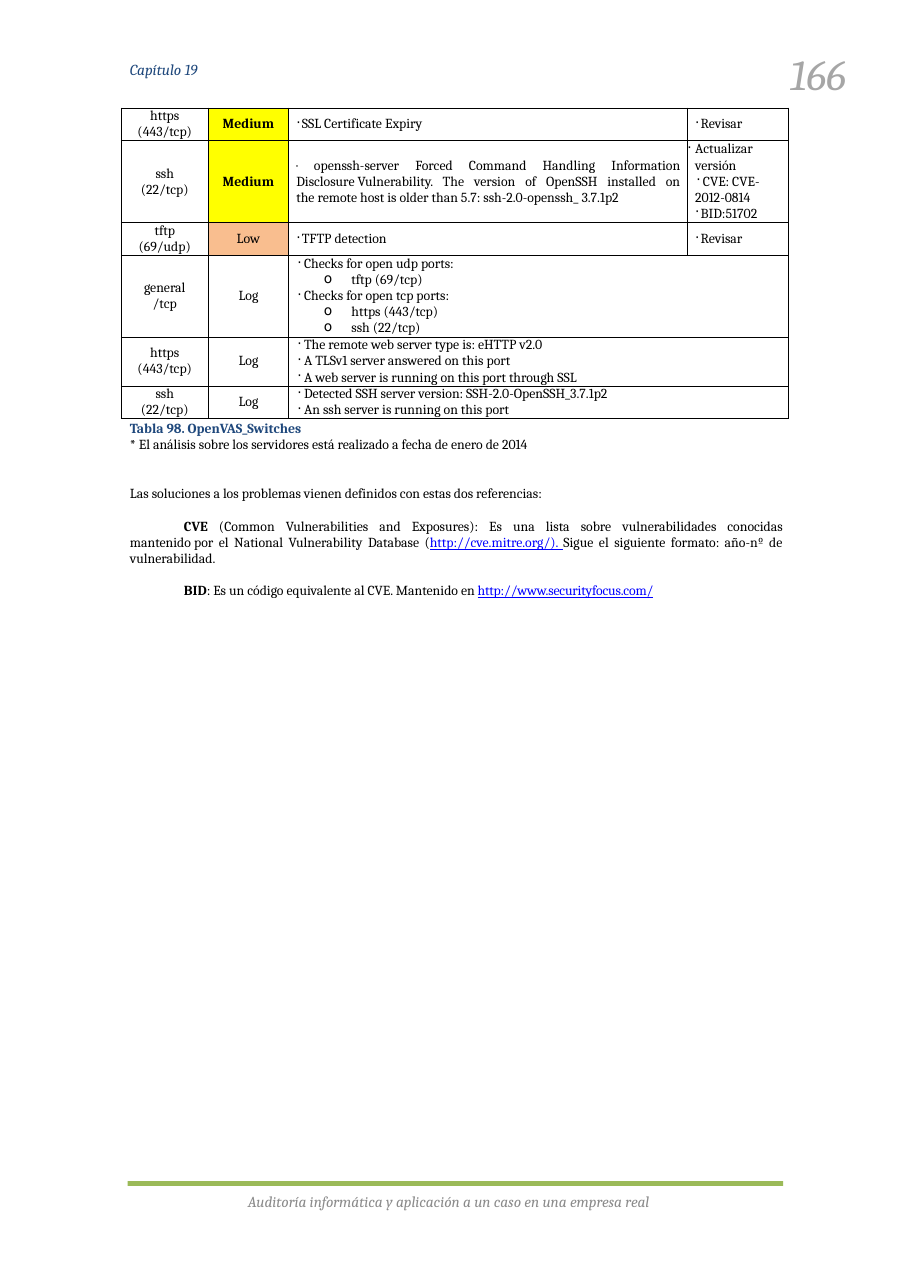
"""Build page 166 of a security audit report: findings table and reference notes."""
from lxml.etree import SubElement, Element
from pptx import Presentation
from pptx.dml.color import RGBColor
from pptx.enum.shapes import MSO_SHAPE as Shape
from pptx.enum.text import MSO_ANCHOR as Anchor, MSO_AUTO_SIZE as AutoSize, PP_ALIGN as Align
from pptx.oxml.ns import qn
from pptx.util import Inches, Pt

THEME = {
    "font": "Cambria", "black": "000000", "white": "FFFFFF", "navy": "1F487C",
    "link": "0000FF", "page": "A6A6A6", "footer": "8B8B8B", "bar": "9BBA58",
    "Medium": "FFFF00", "Low": "F9BE8F", "Log": "FFFFFF",
    "body_size": 9, "header_size": 10, "page_size": 28, "line": 10.5, "border": 0.5,
}
WIDTH, HEIGHT = Inches(8.26), Inches(11.69)
GLUE, FIXED_SPACE = "~", chr(160)

PLACES = {
    "chapter": (14.16, 4.62, 10.9, 1.71),
    "page": (86.68, 3.59, 7.87, 4.28),
    "table": (13.32, 8.38, 73.37, 24.13),
    "notes": (14.16, 32.51, 71.8, 14.03),
    "bar": (14.04, 91.7, 72.03, 0.38),
    "footer": (27.12, 92.5, 45.88, 1.63),
}
COLUMNS = (9.56, 8.84, 43.83, 11.14)
CELL_MARGINS = ((0.12, 0.12), (0, 0), (0, 0.07), (0, 0))
ROW_LINE = 1.27

STYLES = {
    "center": {"align": Align.CENTER},
    "item": {"margin": 0.14, "indent": -0.06, "bullet": "·"},
    "single": {"margin": 0.12, "indent": -0.05, "bullet": "·"},
    "edge": {"margin": 0.07, "indent": -0.07, "bullet": "·"},
    "subitem": {"margin": 0.57, "indent": -0.25, "bullet": "o"},
    "inset": {"margin": 0.07},
    "justified": {"margin": 0.07, "align": Align.JUSTIFY},
    "note": {"margin": 0.01},
    "definition": {"margin": 0.01, "indent": 0.49, "align": Align.JUSTIFY},
    "entry": {"margin": 0.01, "indent": 0.49},
}
SPANS = {
    "normal": {},
    "strong": {"bold": True},
    "caption": {"bold": True, "color": "navy"},
    "link": {"underline": True, "color": "link"},
    "tight link": {"underline": True, "color": "link", "spacing": -10},
}

FINDINGS = [
    (2, ["https (443/tcp)"], "Medium", [("single", "SSL Certificate Expiry")],
     [("single", "Revisar")]),
    (5, ["ssh (22/tcp)"], "Medium",
     [("justified", "· openssh-server Forced Command Handling Information "
       "Disclosure~Vulnerability. The version of OpenSSH installed on "
       "the~remote host is older than 5.7: ssh-2.0-openssh_ 3.7.1p2")],
     [("edge", "Actualizar versión"), ("item", "CVE: CVE-"), ("inset", "2012-0814"),
      ("single", "BID:51702")]),
    (2, ["tftp (69/udp)"], "Low", [("single", "TFTP detection")], [("single", "Revisar")]),
    (5, ["general", "/tcp"], "Log",
     [("item", "Checks for open udp ports:"), ("subitem", "tftp (69/tcp)"),
      ("item", "Checks for open tcp ports:"), ("subitem", "https (443/tcp)"),
      ("subitem", "ssh (22/tcp)")], None),
    (3, ["https (443/tcp)"], "Log",
     [("item", "The remote web server type is: eHTTP v2.0"),
      ("item", "A TLSv1 server answered on this port"),
      ("item", "A web server is running on this port through SSL")], None),
    (2, ["ssh (22/tcp)"], "Log",
     [("item", "Detected SSH server version: SSH-2.0-OpenSSH_3.7.1p2"),
      ("item", "An ssh server is running on this port")], None),
]

NOTES = [
    ("note", [("caption", "Tabla 98. OpenVAS_Switches")], 0),
    ("note", "* El análisis sobre los servidores está realizado a fecha de enero de 2014", 0),
    ("note", "Las soluciones a los problemas vienen definidos con estas dos referencias:", 21.5),
    ("definition", [
        ("strong", "CVE "),
        ("normal", "(Common Vulnerabilities and Exposures): Es una lista sobre vulnerabilidades "
         "conocidas mantenido~por el National Vulnerability Database ("),
        ("link", "http://cve.mitre.org/). "),
        ("normal", "Sigue el siguiente formato: año-nº de vulnerabilidad.")], 11.5),
    ("entry", [
        ("strong", "BID"),
        ("normal", ": Es un código equivalente al CVE. Mantenido en "),
        ("tight link", "http://www.securityfocus.com/")], 10.5),
]


def share(left, top, width, height):
    """Turn percentages of the slide into lengths."""
    return [round(part * side / 100)
            for part, side in zip((left, top, width, height), (WIDTH, HEIGHT) * 2)]


def write(frame, paragraphs, size="body_size", color="black", line=THEME["line"],
          bold=False, italic=False, anchor=Anchor.TOP):
    """Fill a text frame with (style, text or spans, space before) paragraphs."""
    frame.word_wrap = True
    frame.vertical_anchor = anchor
    for index, (style, content, *before) in enumerate(paragraphs):
        para = frame.paragraphs[0] if index == 0 else frame.add_paragraph()
        look = STYLES[style]
        properties = para._p.get_or_add_pPr()
        properties.set("marL", str(Inches(look.get("margin", 0))))
        properties.set("indent", str(Inches(look.get("indent", 0))))
        if "bullet" in look:
            SubElement(properties, qn("a:buChar"), char=look["bullet"])
        else:
            SubElement(properties, qn("a:buNone"))
        para.alignment = look.get("align", Align.LEFT)
        para.space_before = Pt(before[0] if before else 0)
        para.line_spacing = Pt(line) if line else 1.0
        spans = [("normal", content)] if isinstance(content, str) else content
        for kind, text in spans:
            emphasis = SPANS[kind]
            span = para.add_run()
            span.text = text.replace(GLUE, FIXED_SPACE)
            span.font.name = THEME["font"]
            span.font.size = Pt(THEME[size])
            span.font.bold = emphasis.get("bold", bold)
            span.font.italic = italic
            span.font.underline = emphasis.get("underline", False)
            span.font.color.rgb = RGBColor.from_string(THEME[emphasis.get("color", color)])
            span._r.get_or_add_rPr().set("spc", str(emphasis.get("spacing", 0)))


def settle(box, place, paragraphs, **look):
    """Move a text shape to its place, clear its insets and write in it."""
    box.left, box.top, box.width, box.height = share(*PLACES[place])
    frame = box.text_frame
    frame.auto_size = AutoSize.NONE
    frame.margin_left = frame.margin_right = frame.margin_bottom = 0
    frame.margin_top = Inches(0.01)
    write(frame, paragraphs, **look)


def dress(cell, fill, margins):
    """Give a cell its fill, insets and thin black borders."""
    cell.margin_left, cell.margin_right = map(Inches, margins)
    cell.margin_top = cell.margin_bottom = 0
    cell.vertical_anchor = Anchor.MIDDLE
    cell.fill.solid()
    cell.fill.fore_color.rgb = RGBColor.from_string(THEME[fill])
    properties = cell._tc.get_or_add_tcPr()
    for position, side in enumerate(("lnL", "lnR", "lnT", "lnB")):
        border = Element(qn(f"a:{side}"), w=str(Pt(THEME["border"])))
        SubElement(SubElement(border, qn("a:solidFill")), qn("a:srgbClr"), val=THEME["black"])
        properties.insert(position, border)


def add_findings(page):
    """Draw the table of findings, merging the last two columns of log rows."""
    table = page.shapes.add_table(len(FINDINGS), len(COLUMNS), *share(*PLACES["table"])).table
    table.first_row = table.horz_banding = False
    for column, width in zip(table.columns, COLUMNS):
        column.width = round(WIDTH * width / 100)
    for index, (lines, port, level, details, action) in enumerate(FINDINGS):
        table.rows[index].height = round(HEIGHT * ROW_LINE * lines / 100)
        cells = [table.cell(index, column) for column in range(len(COLUMNS))]
        contents = [[("center", text) for text in port], [("center", level)], details, action]
        for column, (cell, content) in enumerate(zip(cells, contents)):
            dress(cell, level if column == 1 else "white", CELL_MARGINS[column])
            if content:
                write(cell.text_frame, content, bold=column == 1 and level == "Medium",
                      anchor=Anchor.MIDDLE)
        if action is None:
            cells[2].merge(cells[3])


def main():
    """Compose the page and save it."""
    deck = Presentation()
    deck.slide_width, deck.slide_height = WIDTH, HEIGHT
    page = deck.slides.add_slide(deck.slide_layouts[1])
    chapter, notes = page.placeholders
    settle(chapter, "chapter", [("note", "Capítulo 19")],
           size="header_size", color="navy", line=None, italic=True)
    settle(notes, "notes", NOTES)
    for place, text, size in (
            ("page", "166", "page_size"),
            ("footer", "Auditoría informática y aplicación a un caso en una empresa real",
             "header_size")):
        settle(page.shapes.add_textbox(0, 0, 0, 0), place, [("note", text)],
               size=size, color=place, line=None, italic=True)
    bar = page.shapes.add_shape(Shape.RECTANGLE, *share(*PLACES["bar"]))
    bar.shadow.inherit = False
    bar.fill.solid()
    bar.fill.fore_color.rgb = RGBColor.from_string(THEME["bar"])
    bar.line.fill.background()
    add_findings(page)
    deck.save("out.pptx")


if __name__ == "__main__":
    main()
